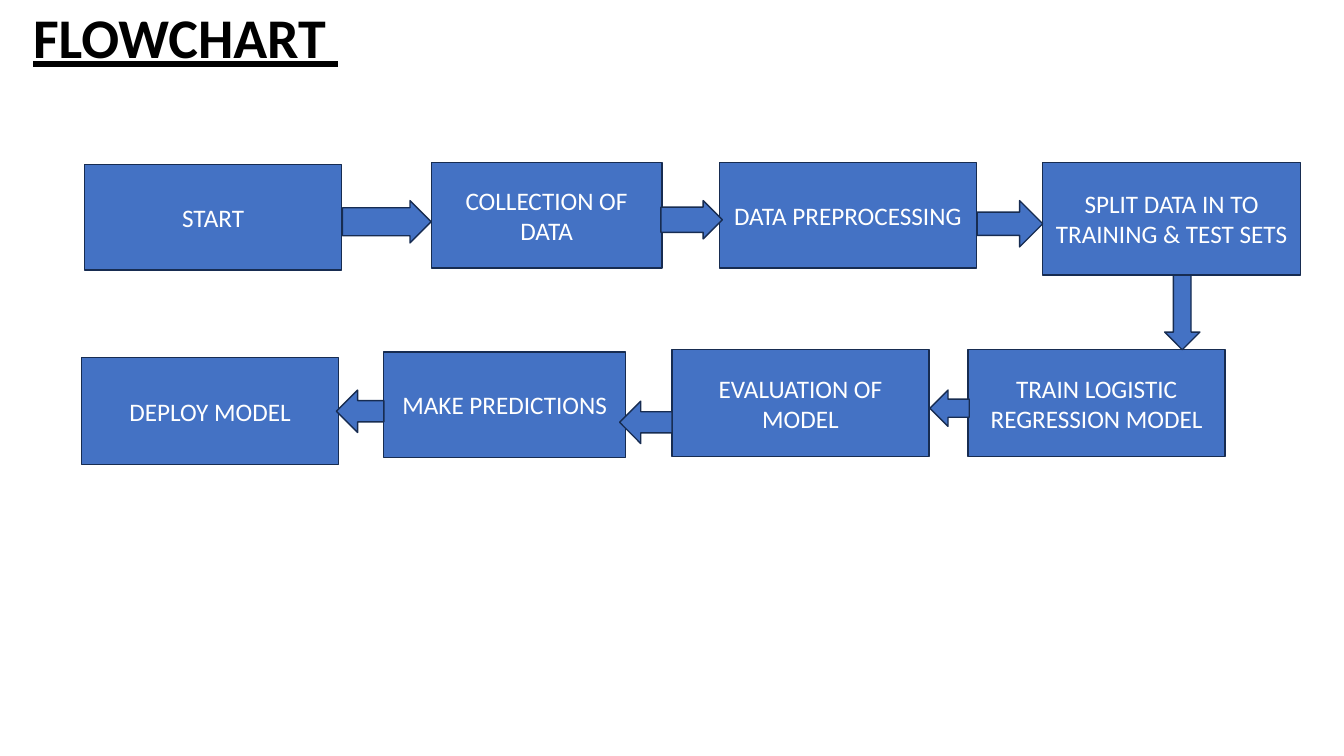
"""Build the flowchart slide for a logistic regression project."""
from pptx import Presentation
from pptx.dml.color import RGBColor
from pptx.enum.shapes import MSO_SHAPE
from pptx.enum.text import MSO_ANCHOR, PP_ALIGN
from pptx.util import Inches, Pt

RECT = MSO_SHAPE.RECTANGLE
RIGHT = MSO_SHAPE.RIGHT_ARROW
LEFT = MSO_SHAPE.LEFT_ARROW
DOWN = MSO_SHAPE.DOWN_ARROW
MIDDLE = MSO_ANCHOR.MIDDLE
TOP = MSO_ANCHOR.TOP
CENTER = PP_ALIGN.CENTER

COLORS = {"fill": "4472C4", "line": "172C51", "text": "FFFFFF", "title": "000000"}


def add_block(kind, x, y, w, h):
    """Add a filled and outlined shape."""
    block = slide.shapes.add_shape(kind, Inches(x), Inches(y), Inches(w), Inches(h))
    block.shadow.inherit = False
    block.fill.solid()
    block.fill.fore_color.rgb = RGBColor.from_string(COLORS["fill"])
    block.line.color.rgb = RGBColor.from_string(COLORS["line"])
    block.line.width = Pt(1)
    return block


def set_text(frame, text, size, color, anchor):
    """Fill a text frame and format its only run."""
    frame.word_wrap = True
    frame.vertical_anchor = anchor
    frame.text = text
    font = frame.paragraphs[0].runs[0].font
    font.name = "Calibri"
    font.size = Pt(size)
    font.color.rgb = RGBColor.from_string(COLORS[color])
    return font


deck = Presentation()
deck.slide_width = Inches(13.34)
deck.slide_height = Inches(7.5)
slide = deck.slides.add_slide(deck.slide_layouts[6])

title = slide.shapes.add_textbox(Inches(0.23), Inches(0.1), Inches(13.1), Inches(1.14))
frame = title.text_frame
frame.margin_top = 0
font = set_text(frame, "FLOWCHART ", 40, "title", TOP)
font.bold = True
font.underline = True
frame.paragraphs[0].line_spacing = 0.9

steps = [
    ("START", 0.84, 1.63, 2.55, 1.05),
    ("COLLECTION OF DATA", 4.28, 1.61, 2.29, 1.05),
    ("DATA PREPROCESSING", 7.14, 1.61, 2.55, 1.05),
    ("SPLIT DATA IN TO TRAINING & TEST SETS", 10.35, 1.61, 2.56, 1.12),
    ("TRAIN LOGISTIC REGRESSION MODEL", 9.61, 3.47, 2.55, 1.06),
    ("EVALUATION OF MODEL", 6.67, 3.47, 2.55, 1.06),
    ("MAKE PREDICTIONS", 3.81, 3.49, 2.4, 1.05),
    ("DEPLOY MODEL", 0.81, 3.55, 2.55, 1.06),
]
for text, x, y, w, h in steps:
    step = add_block(RECT, x, y, w, h)
    set_text(step.text_frame, text, 18, "text", MIDDLE)
    step.text_frame.paragraphs[0].alignment = CENTER

arrows = [
    (RIGHT, 3.4, 1.99, 0.88, 0.42, 0.66),
    (RIGHT, 6.56, 1.99, 0.61, 0.38, 0.66),
    (RIGHT, 9.7, 1.99, 0.65, 0.46, 0.5),
    (DOWN, 11.56, 2.73, 0.35, 0.74, 0.5),
    (LEFT, 9.23, 3.87, 0.39, 0.36, 0.5),
    (LEFT, 6.15, 3.98, 0.52, 0.42, 0.5),
    (LEFT, 3.34, 3.87, 0.47, 0.42, 0.5),
]
for kind, x, y, w, h, shaft in arrows:
    arrow = add_block(kind, x, y, w, h)
    arrow.adjustments[0] = shaft
    arrow.adjustments[1] = 0.5

deck.save("out.pptx")
